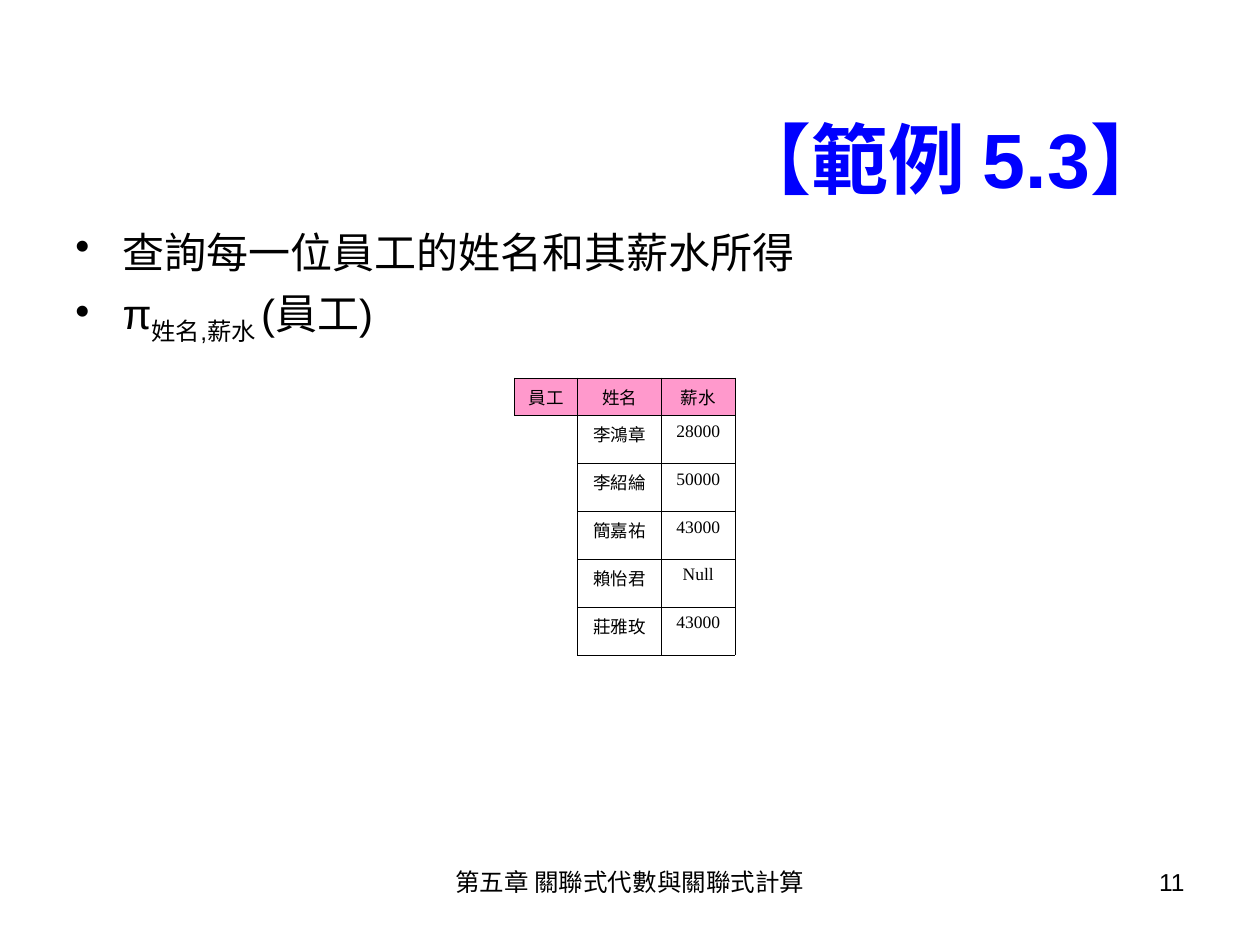
from dataclasses import dataclass

from lxml import etree
from pptx import Presentation
from pptx.dml.color import RGBColor
from pptx.enum import text
from pptx.oxml import ns
from pptx.util import Pt


@dataclass(frozen=True)
class Theme:
    black: str = "000000"
    white: str = "FFFFFF"
    blue: str = "0000FF"
    pink: str = "FF99CC"
    sans: str = "Arial"
    serif: str = "Times New Roman"
    title_size: float = 44
    body_size: float = 24
    footer_size: float = 14
    table_size: float = 10
    border_width: float = 0.45


THEME = Theme()
ALIGN = text.PP_ALIGN
ANCHOR = text.MSO_ANCHOR


def set_font(font, size, color=THEME.black, name=THEME.sans, bold=False):
    formats = {"size": Pt(size), "name": name, "bold": bold}
    for attribute, value in formats.items():
        setattr(font, attribute, value)
    font.color.rgb = RGBColor.from_string(color)


def add_text_frame(slide, box, anchor=ANCHOR.TOP):
    frame = slide.shapes.add_textbox(*map(Pt, box)).text_frame
    frame.word_wrap = True
    frame.vertical_anchor = anchor
    return frame


def add_line(slide, box, wording, size, alignment, anchor=ANCHOR.TOP, **font_formats):
    """Place one aligned line of text in the box."""
    paragraph = add_text_frame(slide, box, anchor).paragraphs[0]
    paragraph.alignment = alignment
    run = paragraph.add_run()
    run.text = wording
    set_font(run.font, size, **font_formats)


def add_bullets(slide, box, bullets):
    """Each bullet is a list of (wording, baseline percent) runs."""
    frame = add_text_frame(slide, box)
    for index, pieces in enumerate(bullets):
        paragraph = frame.paragraphs[0] if index == 0 else frame.add_paragraph()
        properties = paragraph._p.get_or_add_pPr()
        properties.set("marL", str(Pt(27)))
        properties.set("indent", str(-Pt(27)))
        etree.SubElement(properties, ns.qn("a:buChar"), char="•")
        if index:
            paragraph.space_before = Pt(6)
        for wording, baseline in pieces:
            run = paragraph.add_run()
            run.text = wording
            set_font(run.font, THEME.body_size)
            if baseline:
                run.font._element.set("baseline", str(baseline * 1000))


def set_borders(cell, visible_sides):
    properties = cell._tc.get_or_add_tcPr()
    for side in "LRTB":
        line = etree.SubElement(properties, ns.qn(f"a:ln{side}"), w=str(Pt(THEME.border_width)))
        if side in visible_sides:
            fill = etree.SubElement(line, ns.qn("a:solidFill"))
            etree.SubElement(fill, ns.qn("a:srgbClr"), val=THEME.black)
        else:
            etree.SubElement(line, ns.qn("a:noFill"))


def fill_cell(cell, wording, color):
    cell.fill.solid()
    cell.fill.fore_color.rgb = RGBColor.from_string(color)
    paragraph = cell.text_frame.paragraphs[0]
    paragraph.alignment = ALIGN.CENTER
    run = paragraph.add_run()
    run.text = wording
    set_font(run.font, THEME.table_size, name=THEME.serif)


def clear_cell(cell):
    cell.fill.background()
    end = etree.SubElement(cell.text_frame.paragraphs[0]._p, ns.qn("a:endParaRPr"))
    end.set("sz", str(THEME.table_size * 100))


def add_relation_table(slide, left, top, header, records, widths):
    """The relation's name heads an otherwise open first column."""
    heights = [21.4] + [27.4] * len(records)
    box = (left, top, sum(widths), sum(heights))
    table = slide.shapes.add_table(len(heights), len(widths), *map(Pt, box)).table
    table.first_row = table.horz_banding = False
    for column, width in zip(table.columns, widths):
        column.width = Pt(width)
    for row, height in zip(table.rows, heights):
        row.height = Pt(height)
    rows = [header] + [("", *record) for record in records]
    for row_index, values in enumerate(rows):
        for column_index, wording in enumerate(values):
            cell = table.cell(row_index, column_index)
            if wording:
                set_borders(cell, "LRTB")
                fill_cell(cell, wording, THEME.white if row_index else THEME.pink)
            else:
                set_borders(cell, "RT" if row_index == 1 else "R")
                clear_cell(cell)


def main():
    presentation = Presentation()
    presentation.slide_width, presentation.slide_height = Pt(720), Pt(540)
    slide = presentation.slides.add_slide(presentation.slide_layouts[6])

    add_line(slide, (246, 492, 228, 37.5), "第五章 關聯式代數與關聯式計算",
             THEME.footer_size, ALIGN.CENTER)
    add_line(slide, (516, 492, 168, 37.5), "11", THEME.footer_size, ALIGN.RIGHT)
    add_line(slide, (36, 66, 648, 48), "【範例 5.3】 ", THEME.title_size,
             ALIGN.RIGHT, ANCHOR.MIDDLE, color=THEME.blue, bold=True)
    add_bullets(slide, (36, 126, 648, 390), [
        [("查詢每一位員工的姓名和其薪水所得", 0)],
        [("π", 0), ("姓名,薪水 ", -25), ("(員工)", 0)],
    ])
    add_relation_table(
        slide, 294, 216, ("員工", "姓名", "薪水"),
        [("李鴻章", "28000"), ("李紹綸", "50000"), ("簡嘉祐", "43000"),
         ("賴怡君", "Null"), ("莊雅玫", "43000")],
        widths=(36, 48, 42))

    presentation.save("out.pptx")


if __name__ == "__main__":
    main()
